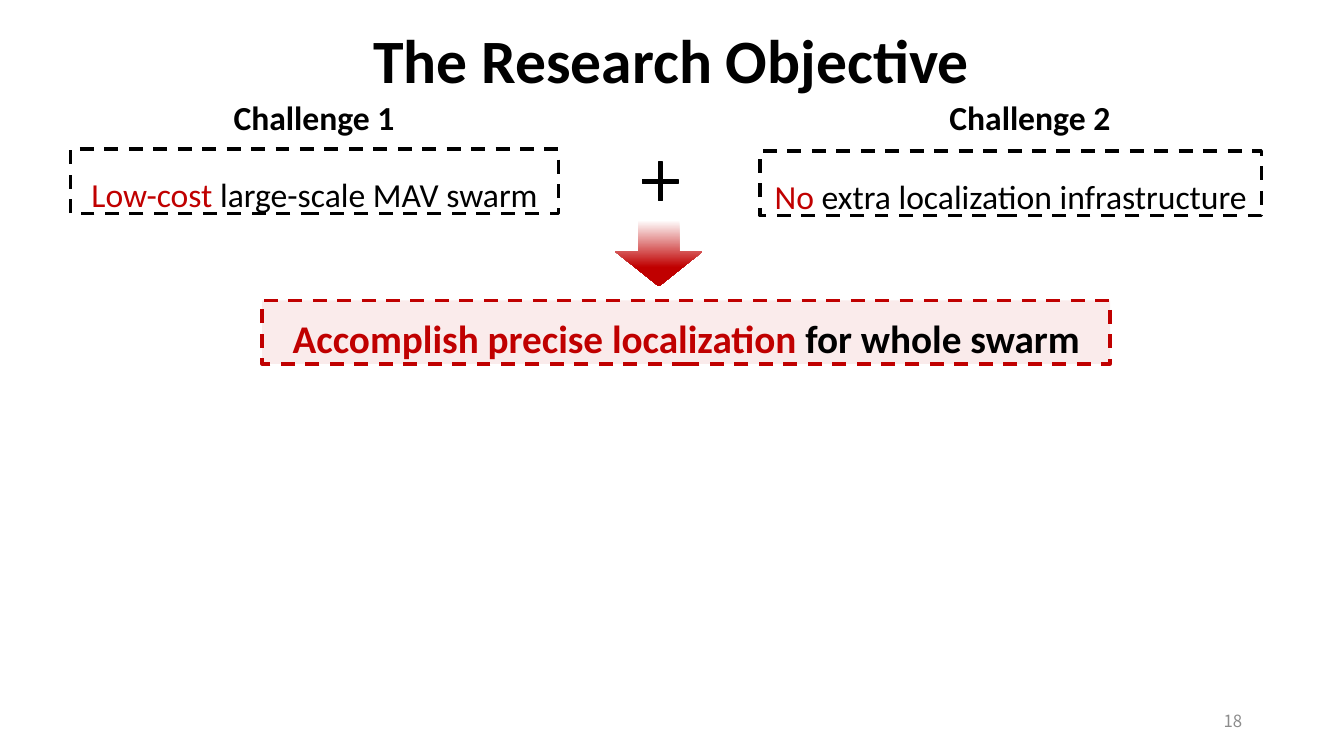
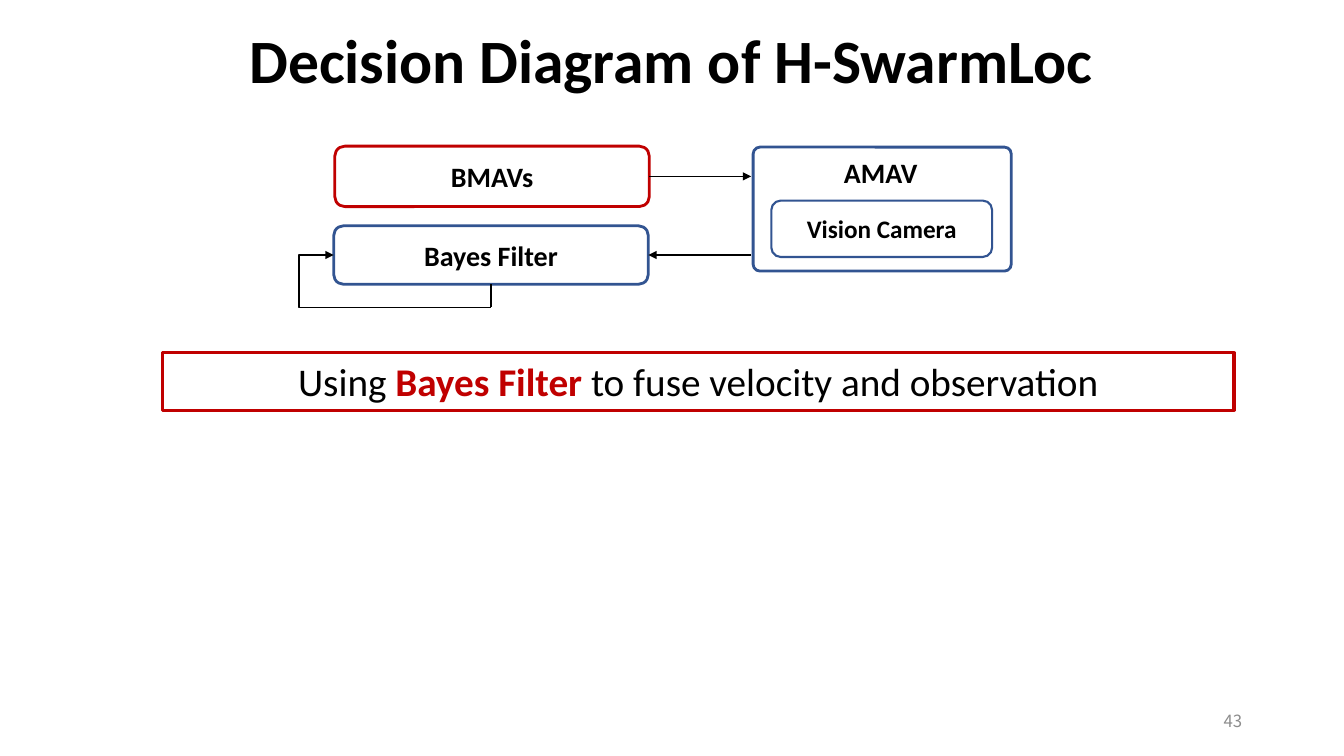
from lxml.etree import SubElement
from pptx import Presentation
from pptx.dml.color import RGBColor
from pptx.enum.dml import MSO_LINE
from pptx.enum.shapes import MSO_CONNECTOR as CONNECTOR, MSO_SHAPE as SHAPE
from pptx.enum.text import MSO_ANCHOR as ANCHOR, PP_ALIGN as ALIGN
from pptx.oxml.ns import qn
from pptx.util import Inches, Pt

BLACK, WHITE, RED, BLUE, GRAY = "000000", "FFFFFF", "C00000", "325491", "8C8C8C"


def rgb(value):
    return RGBColor.from_string(value)


class Deck:
    """Holds the shared style and the slide being filled."""

    font = "Calibri"
    number_font = "Noto Sans CJK SC"

    def __init__(self):
        self.presentation = Presentation()
        self.presentation.slide_width = Inches(13.33)
        self.presentation.slide_height = Inches(7.5)
        self.slide = None

    def start(self, title, number):
        layout = self.presentation.slide_layouts[6]
        self.slide = self.presentation.slides.add_slide(layout)
        self.label((0.13, 0.17, 13.06, 0.84), title, 44)
        self.label((9.42, 6.95, 3, 0.4), number, 12, GRAY, False,
                   ALIGN.RIGHT, ANCHOR.MIDDLE, self.number_font)

    def add_text(self, shape, runs, size, align=ALIGN.CENTER, anchor=ANCHOR.TOP,
                 spacing=None, font=None):
        frame = shape.text_frame
        frame.word_wrap = True
        frame.vertical_anchor = anchor
        paragraph = frame.paragraphs[0]
        paragraph.alignment = align
        if spacing:
            paragraph.line_spacing = spacing
        for text, color, bold in runs:
            run = paragraph.add_run()
            run.text = text
            run.font.name = font or self.font
            run.font.size = Pt(size)
            run.font.bold = bold
            run.font.color.rgb = rgb(color)

    def label(self, box, text, size, color=BLACK, bold=True,
              align=ALIGN.CENTER, anchor=ANCHOR.TOP, font=None):
        shape = self.slide.shapes.add_textbox(*map(Inches, box))
        self.add_text(shape, [(text, color, bold)], size, align, anchor, font=font)

    def shape(self, kind, box, line=None, width=1, fill=None, adjust=()):
        shape = self.slide.shapes.add_shape(kind, *map(Inches, box))
        shape.shadow.inherit = False
        for index, value in enumerate(adjust):
            shape.adjustments[index] = value
        if fill:
            shape.fill.solid()
            shape.fill.fore_color.rgb = rgb(fill)
        else:
            shape.fill.background()
        if line:
            shape.line.color.rgb = rgb(line)
            shape.line.width = Pt(width)
        else:
            shape.line.fill.background()
        return shape

    def dashed_box(self, box, runs, size, spacing, line=BLACK, tint=None):
        shape = self.shape(SHAPE.RECTANGLE, box, line, 2.5, tint)
        shape.line.dash_style = MSO_LINE.DASH
        if tint:
            color = shape._element.spPr.find(qn("a:solidFill")).find(qn("a:srgbClr"))
            SubElement(color, qn("a:alpha"), val="8000")
        self.add_text(shape, runs, size, spacing=spacing)

    def node(self, box, text, size=20, line=BLUE, width=2):
        shape = self.shape(SHAPE.ROUNDED_RECTANGLE, box, line, width)
        self.add_text(shape, [(text, BLACK, True)], size, anchor=ANCHOR.MIDDLE)
        return shape

    def fading_arrow(self, box, adjust):
        shape = self.shape(SHAPE.DOWN_ARROW, box, adjust=adjust)
        shape.fill.gradient()
        shape.fill.gradient_angle = 270
        stops = ((0.2, WHITE), (0.77, RED))
        for stop, (position, color) in zip(shape.fill.gradient_stops, stops):
            stop.position = position
            stop.color.rgb = rgb(color)

    def connect(self, start, end, kind=CONNECTOR.STRAIGHT, begin=None,
                finish=None, head=True, bend=None):
        connector = self.slide.shapes.add_connector(
            kind, *map(Inches, (*start, *end)))
        connector.line.color.rgb = rgb(BLACK)
        connector.line.width = Pt(1)
        if begin:
            connector.begin_connect(*begin)
        if finish:
            connector.end_connect(*finish)
        properties = connector._element.spPr
        if head:
            SubElement(properties.find(qn("a:ln")), qn("a:tailEnd"), type="triangle")
        if bend:
            guides = properties.find(qn("a:prstGeom")).find(qn("a:avLst"))
            SubElement(guides, qn("a:gd"), name="adj1",
                       fmla=f"val {round(bend * 100000)}")
        SubElement(properties, qn("a:effectLst"))


def build_objective(deck):
    deck.start("The Research Objective", "18")
    deck.dashed_box((2.6, 2.98, 8.41, 0.63),
                    [("Accomplish precise localization ", RED, True),
                     ("for whole swarm", BLACK, True)], 28, 1.2, RED, RED)
    deck.fading_arrow((6.1, 2.02, 0.87, 0.82), (0.465, 0.421))
    challenges = (
        ("Challenge 1", 1.85, (0.7, 1.48, 4.84, 0.64),
         "Low-cost ", "large-scale MAV swarm"),
        ("Challenge 2", 8.95, (7.54, 1.5, 4.97, 0.64),
         "No", " extra localization infrastructure"),
    )
    for heading, left, box, key, rest in challenges:
        deck.label((left, 0.91, 2.53, 0.5), heading, 24)
        deck.dashed_box(box, [(key, RED, False), (rest, BLACK, False)], 24, 1.5)
    deck.shape(SHAPE.MATH_PLUS, (6.31, 1.54, 0.48, 0.52), BLACK, 1, BLACK, (0.079,))


def build_diagram(deck):
    deck.start("Decision Diagram of H-SwarmLoc", "43")
    deck.shape(SHAPE.ROUNDED_RECTANGLE, (7.47, 1.46, 2.56, 1.23), BLUE, 2,
               adjust=(0.055,))
    deck.label((7.51, 1.49, 2.45, 0.44), "AMAV", 20)
    deck.node((7.65, 1.99, 2.19, 0.56), "Vision Camera", 18, width=1.5)
    bayes = deck.node((3.31, 2.24, 3.12, 0.58), "Bayes Filter")
    bmavs = deck.node((3.32, 1.45, 3.12, 0.6), "BMAVs", line=RED)
    deck.connect((6.44, 1.75), (7.45, 1.75), begin=(bmavs, 3))
    deck.connect((7.45, 2.53), (6.43, 2.53), finish=(bayes, 3))
    deck.connect((4.87, 2.82), (4.87, 3.05), begin=(bayes, 2), head=False)
    deck.connect((4.87, 3.05), (3.31, 2.53), CONNECTOR.ELBOW, bend=1.22)
    summary = deck.shape(SHAPE.RECTANGLE, (1.61, 3.5, 10.63, 0.57), RED, 2.25)
    deck.add_text(summary, [("Using ", BLACK, False), ("Bayes Filter ", RED, True),
                            ("to fuse velocity and observation", BLACK, False)], 28)


def main():
    deck = Deck()
    build_objective(deck)
    build_diagram(deck)
    deck.presentation.save("out.pptx")


if __name__ == "__main__":
    main()
